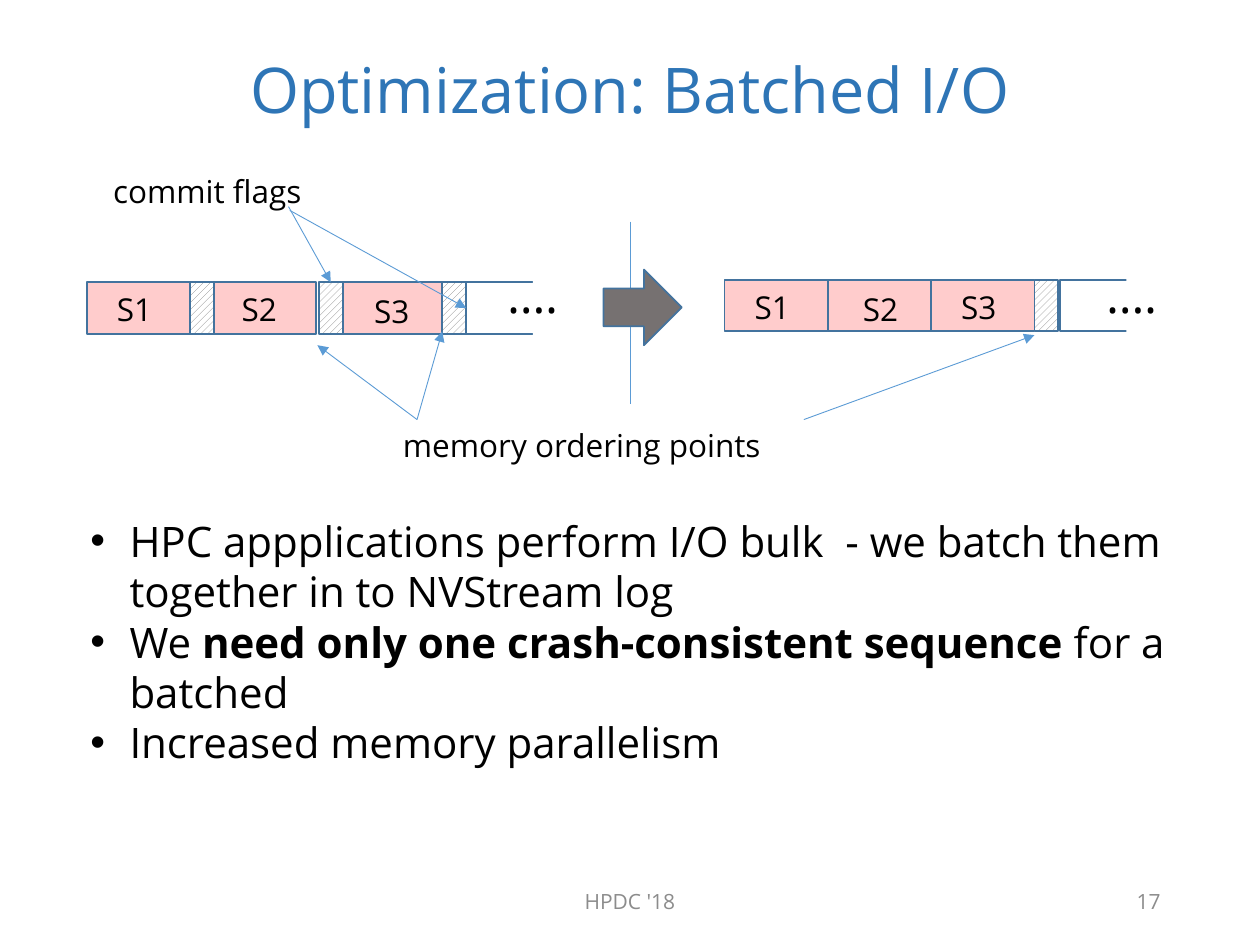
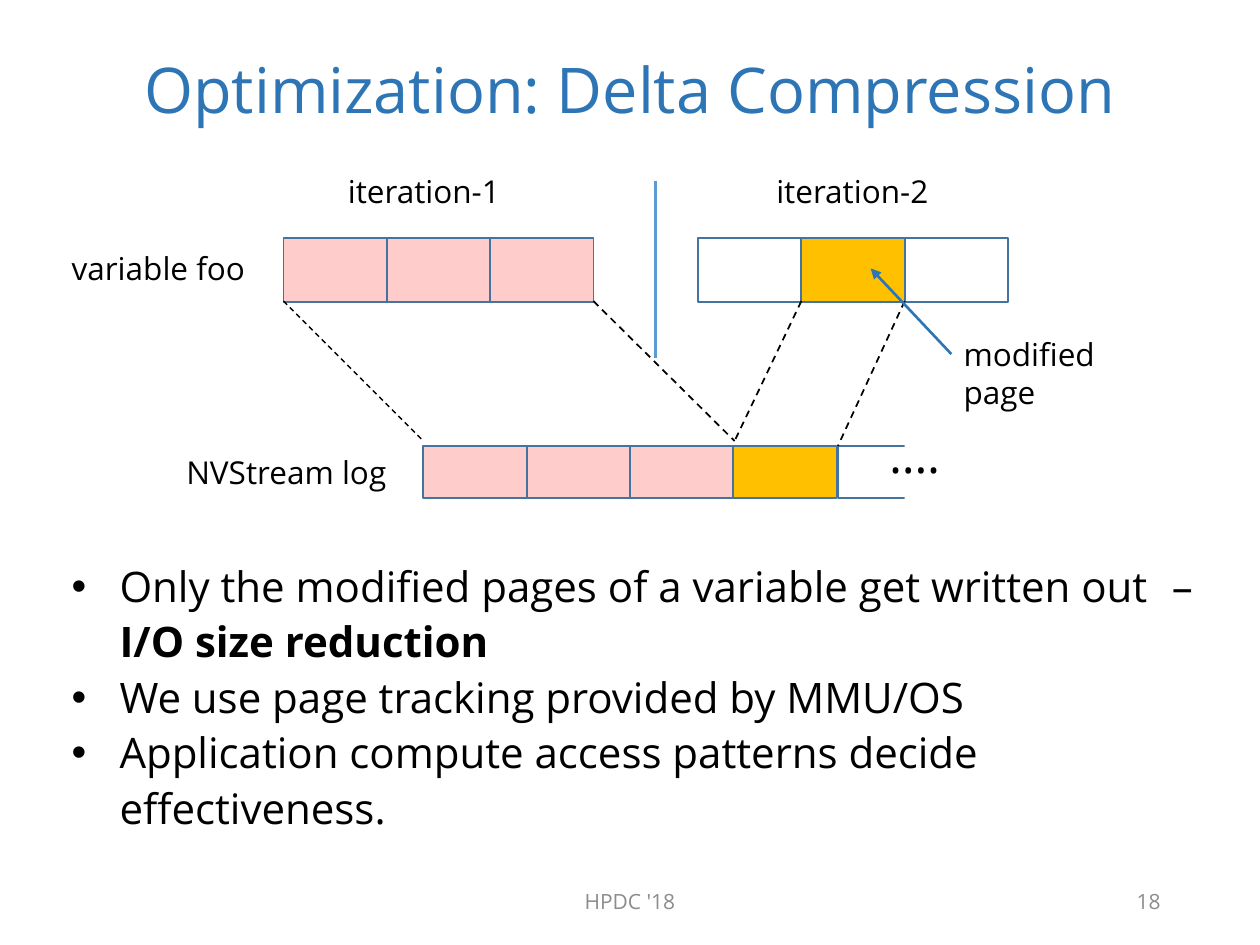
"""Builds two slides on log optimizations: batched I/O and delta compression."""
from dataclasses import dataclass

from lxml.etree import SubElement
from pptx import Presentation
from pptx.dml.color import RGBColor
from pptx.enum.dml import MSO_LINE, MSO_PATTERN
from pptx.enum.shapes import MSO_CONNECTOR, MSO_SHAPE
from pptx.enum.text import MSO_ANCHOR, PP_ALIGN
from pptx.oxml.ns import qn
from pptx.util import Emu, Pt

PX = 9144


@dataclass(frozen=True)
class Theme:
    font: str = "Open Sans"
    title: str = "2E75B6"
    ink: str = "000000"
    muted: str = "8C8C8C"
    paper: str = "FFFFFF"
    page: str = "FFCCCC"
    modified: str = "FFC000"
    hatch: str = "808080"
    block: str = "767171"
    edge: str = "43739E"
    guide: str = "5B9BD5"
    title_size: int = 36
    dots_size: int = 28
    body_size: int = 24
    label_size: int = 18
    footer_size: int = 12


def px(*lengths):
    return [Emu(n * PX) for n in lengths]


def rgb(value):
    return RGBColor.from_string(value)


def write(tf, text, *, font, size, color, align=PP_ALIGN.LEFT,
          spacing=None, indent=0, tab=0):
    """Write one paragraph per line; text between ** marks is bold."""
    for i, line in enumerate(text.split("\n")):
        p = tf.add_paragraph() if i else tf.paragraphs[0]
        p.alignment = align
        if spacing:
            p.line_spacing = spacing
        if indent:
            pPr = p._p.get_or_add_pPr()
            pPr.set("marL", str(indent * PX))
            pPr.set("indent", str(-indent * PX))
            SubElement(pPr, qn("a:buFont"), typeface="Arial")
            SubElement(pPr, qn("a:buChar"), char="•")
            if tab:
                tabs = SubElement(pPr, qn("a:tabLst"))
                SubElement(tabs, qn("a:tab"), pos=str(tab * PX), algn="l")
        for j, part in enumerate(line.split("**")):
            if part:
                r = p.add_run()
                r.text = part
                r.font.name = font
                r.font.size = Pt(size)
                r.font.bold = j % 2 == 1
                r.font.color.rgb = rgb(color)


class Deck:
    """Holds the theme and the slide being drawn."""

    def __init__(self, prs, theme):
        self.prs, self.t, self.s = prs, theme, None

    def slide(self, title, number):
        t = self.t
        self.s = self.prs.slides.add_slide(self.prs.slide_layouts[6])
        middle = MSO_ANCHOR.MIDDLE
        self.text(69, 40, 862, 68, title, size=t.title_size, color=t.title,
                  align=PP_ALIGN.CENTER, spacing=0.9, anchor=middle)
        footer = dict(size=t.footer_size, color=t.muted, anchor=middle)
        self.text(331, 695, 338, 40, "HPDC '18", align=PP_ALIGN.CENTER, **footer)
        self.text(706, 695, 225, 40, str(number), align=PP_ALIGN.RIGHT, **footer)

    def text(self, x, y, w, h, text, anchor=MSO_ANCHOR.TOP, **fmt):
        sp = self.s.shapes.add_textbox(*px(x, y, w, h))
        tf = sp.text_frame
        tf.word_wrap = True
        tf.vertical_anchor = anchor
        base = dict(font=self.t.font, size=self.t.label_size, color=self.t.ink)
        write(tf, text, **{**base, **fmt})
        return sp

    def bullets(self, x, y, w, h, text, **fmt):
        self.text(x, y, w, h, text, size=self.t.body_size, **fmt)

    def shape(self, x, y, w, h, fill, kind=MSO_SHAPE.RECTANGLE, edge=True):
        sp = self.s.shapes.add_shape(kind, *px(x, y, w, h))
        sp.shadow.inherit = False
        sp.fill.solid()
        sp.fill.fore_color.rgb = rgb(fill)
        if edge:
            sp.line.color.rgb = rgb(self.t.edge)
            sp.line.width = Pt(1)
        else:
            sp.line.fill.background()
        return sp

    def cells(self, x, y, h, fills, step=82):
        for i, fill in enumerate(fills):
            self.shape(x + i * step, y, 82, h, fill)

    def flag(self, x, y):
        sp = self.shape(x, y, 19, 41, self.t.paper)
        sp.fill.patterned()
        sp.fill.pattern = MSO_PATTERN.WIDE_UPWARD_DIAGONAL
        sp.fill.fore_color.rgb = rgb(self.t.hatch)
        sp.fill.back_color.rgb = rgb(self.t.paper)
        return sp

    def open_end(self, x, y, dots_x, dots_y):
        self.shape(x, y, 82, 41, self.t.paper)
        self.shape(x + 53, y - 4, 37, 47, self.t.paper, edge=False)
        self.text(dots_x, dots_y, 63, 57, "….", size=self.t.dots_size)

    def line(self, start, end, color, width=0.5, dash=False, arrow=False):
        cn = self.s.shapes.add_connector(MSO_CONNECTOR.STRAIGHT, *px(*start, *end))
        cn.line.color.rgb = rgb(color)
        cn.line.width = Pt(width)
        if dash:
            cn.line.dash_style = MSO_LINE.DASH
        spPr = cn._element.spPr
        if arrow:
            SubElement(spPr.find(qn("a:ln")), qn("a:tailEnd"), type="triangle")
        SubElement(spPr, qn("a:effectLst"))
        return cn


def batched_io(d):
    t = d.t
    d.slide("Optimization: Batched I/O", 17)
    d.bullets(62, 404, 883, 212,
              "HPC appplications perform I/O bulk  - we batch them together in to NVStream log\n"
              "We **need only one crash-consistent sequence **for a batched\n"
              "Increased memory parallelism", indent=31)

    d.cells(69, 224, 41, [t.page] * 3, step=100)
    d.open_end(370, 224, 393, 205)
    flags = [d.flag(x, 224) for x in (151, 253, 351)]

    d.cells(575, 222, 41, [t.page] * 3)
    d.flag(821, 222)
    d.open_end(841, 222, 868, 205)

    d.line((500, 176), (500, 321), t.guide)
    d.shape(479, 214, 62, 60, t.block, MSO_SHAPE.RIGHT_ARROW)

    d.text(310, 333, 317, 40, "memory ordering points")
    for start, end in (((331, 333), (252, 274)),
                       ((638, 333), (821, 266)),
                       ((331, 333), (351, 263))):
        d.line(start, end, t.guide, arrow=True)

    d.text(80, 132, 173, 40, "commit flags")
    for start, end, flag, side in (((229, 164), (263, 224), flags[1], 0),
                                   ((230, 167), (370, 244), flags[2], 3)):
        d.line(start, end, t.guide, arrow=True).end_connect(flag, side)

    for x, y, name in ((83, 225, "S1"), (182, 225, "S2"), (287, 227, "S3"),
                       (589, 224, "S1"), (675, 225, "S2"), (753, 224, "S3")):
        d.text(x, y, 61, 40, name)


def delta_compression(d):
    t = d.t
    d.slide("Optimization: Delta Compression", 18)
    d.bullets(47, 436, 931, 188,
              "Only the modified pages of a variable get written out \t– **I/O size reduction**\n"
              "We use page tracking provided by MMU/OS\n"
              "Application compute access patterns decide effectiveness.",
              indent=38, spacing=1.1, tab=838)

    d.cells(225, 189, 51, [t.page] * 3)
    d.cells(554, 189, 51, [t.paper, t.modified, t.paper])
    d.line((520, 144), (520, 284), t.guide, 1.5)
    for x, name in ((233, "iteration-1"), (573, "iteration-2")):
        d.text(x, 132, 207, 40, name, align=PP_ALIGN.CENTER)

    d.open_end(665, 354, 696, 332)
    d.cells(336, 354, 41, [t.page] * 3 + [t.modified])
    d.text(47, 193, 161, 40, "variable foo")
    d.text(138, 355, 182, 40, "NVStream log")

    for x1, x2, y2, width in ((225, 336, 350, 0.75), (471, 583, 350, 1),
                              (636, 583, 350, 1), (718, 665, 354, 1)):
        d.line((x1, 239), (x2, y2), t.ink, width, dash=True)

    label = d.text(755, 261, 187, 40, "modified page")
    cn = d.line((755, 282), (691, 213), t.title, 1.5, arrow=True)
    cn.begin_connect(label, 1)


def main():
    prs = Presentation()
    prs.slide_width, prs.slide_height = px(1000, 750)
    d = Deck(prs, Theme())
    batched_io(d)
    delta_compression(d)
    prs.save("out.pptx")


if __name__ == "__main__":
    main()
